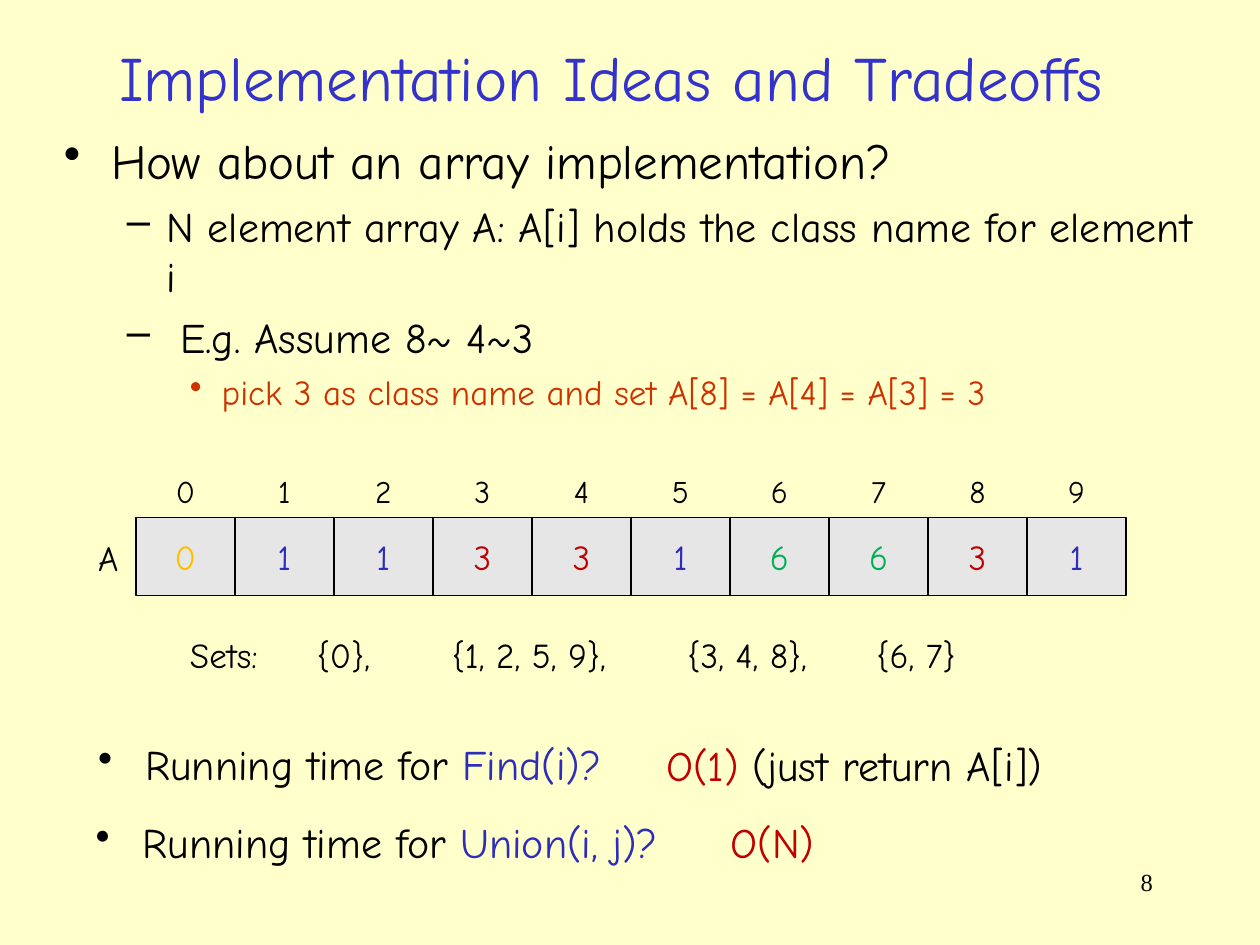
from lxml import etree
from pptx import Presentation
from pptx.dml.color import RGBColor as Rgb
from pptx.enum.shapes import MSO_SHAPE as Shape
from pptx.enum.text import MSO_ANCHOR as Anchor, MSO_AUTO_SIZE as AutoSize, PP_ALIGN as Align
from pptx.oxml.ns import qn
from pptx.util import Cm, Pt

FONT = "Comic Neue"
BLACK, BLUE, RED, ORANGE, GREEN = "000000", "2D2DB9", "C00000", "FFC000", "00B050"


def write(para, pieces, size, font=FONT):
    """Add (text, colour) pieces to a paragraph as formatted runs."""
    for text, colour in pieces:
        span = para.add_run()
        span.text = text
        span.font.name = font
        span.font.size = Pt(size)
        span.font.color.rgb = Rgb.from_string(colour)


def add_bullet(para, char, colour, margin, hanging):
    """Give a paragraph a bullet with a hanging indent in centimetres."""
    props = para._p.get_or_add_pPr()
    props.set("marL", str(Cm(margin)))
    props.set("indent", str(-Cm(hanging)))
    fill = etree.SubElement(props, qn("a:buClr"))
    etree.SubElement(fill, qn("a:srgbClr"), val=colour)
    etree.SubElement(props, qn("a:buChar"), char=char)


deck = Presentation()
deck.slide_width, deck.slide_height = Cm(25.4), Cm(19.05)
page = deck.slides.add_slide(deck.slide_layouts[5])
page.background.fill.solid()
page.background.fill.fore_color.rgb = Rgb.from_string("FFFFCC")

# Title
title = page.shapes.title
title.left, title.top, title.width, title.height = Cm(0.94), Cm(0.66), Cm(22.76), Cm(1.75)
title.text_frame.auto_size = AutoSize.NONE
title.text_frame.vertical_anchor = Anchor.MIDDLE
title.text_frame.paragraphs[0].alignment = Align.CENTER
write(title.text_frame.paragraphs[0], [("Implementation Ideas and Tradeoffs", "3333CC")], 36)

# Main bullets: text, size, colour, bullet, margin, hanging, space before
outline = [
    ("How about an array implementation?", 28, BLACK, "•", 0.95, 0.95, 0),
    ("N element array A: A[i] holds the class name for element i", 24, BLACK, "–", 2.06, 0.79, 6),
    (" E.g. Assume 8~ 4~3", 24, BLACK, "–", 2.06, 0.79, 6),
    ("pick 3 as class name and set A[8] = A[4] = A[3] = 3", 20, "CC3300", "•", 3.18, 0.64, 5),
]
body = page.shapes.add_textbox(Cm(1.04), Cm(2.51), Cm(23.5), Cm(6.91)).text_frame
body.word_wrap = True
for number, (text, size, colour, char, margin, hanging, space) in enumerate(outline):
    para = body.add_paragraph() if number else body.paragraphs[0]
    add_bullet(para, char, colour, margin, hanging)
    para.space_before = Pt(space)
    write(para, [(text, colour)], size)

# Array cells with their indices above
values = [0, 1, 1, 3, 3, 1, 6, 6, 3, 1]
class_colours = {0: ORANGE, 1: BLUE, 3: RED, 6: GREEN}
array_left, array_top = 2.74, 10.44
cell_width, cell_height = 19.96 / len(values), 1.57
for index, value in enumerate(values):
    left = Cm(array_left + index * cell_width)
    cell = page.shapes.add_shape(Shape.RECTANGLE, left, Cm(array_top), Cm(cell_width), Cm(cell_height))
    cell.shadow.inherit = False
    cell.fill.solid()
    cell.fill.fore_color.rgb = Rgb.from_string("E6E6E6")
    cell.line.color.rgb = Rgb.from_string(BLACK)
    cell.line.width = Pt(0.75)
    cell.text_frame.vertical_anchor = Anchor.MIDDLE
    label = page.shapes.add_textbox(left, Cm(9.4), Cm(cell_width), Cm(1.02))
    for box, number, size, colour in ((cell, value, 20, class_colours[value]), (label, index, 18, BLACK)):
        box.text_frame.word_wrap = True
        para = box.text_frame.paragraphs[0]
        para.alignment = Align.CENTER
        write(para, [(str(number), colour)], size)

# Single lines: left, top, width, height, size, bulleted, pieces
lines = [
    (1.73, 10.69, 0.91, 1.12, 20, False, [("A", BLACK)]),
    (1.73, 14.76, 11.3, 1.75, 24, True, [("Running time for ", BLACK), ("Find(i)?", BLUE)]),
    (13.18, 14.78, 9.58, 1.42, 24, False, [("O(1)", RED), (" (just return A[i])", BLACK)]),
    (1.68, 16.33, 13.11, 1.75, 24, True, [("Running time for", BLACK), (" Union(i, j)?", BLUE)]),
    (14.48, 16.33, 2.79, 1.42, 24, False, [("O(N)", RED)]),
]
for left, top, width, height, size, bulleted, pieces in lines:
    frame = page.shapes.add_textbox(Cm(left), Cm(top), Cm(width), Cm(height)).text_frame
    frame.word_wrap = bulleted
    if bulleted:
        add_bullet(frame.paragraphs[0], "•", BLACK, 0.95, 0.95)
    write(frame.paragraphs[0], pieces, size)

# Sets, spread along tab stops
sets = page.shapes.add_textbox(Cm(3.58), Cm(12.65), Cm(17.83), Cm(1.12)).text_frame
sets.word_wrap = True
para = sets.paragraphs[0]
tabs = etree.SubElement(para._p.get_or_add_pPr(), qn("a:tabLst"))
for stop in (2.56, 5.28, 10.03, 13.84):
    etree.SubElement(tabs, qn("a:tab"), pos=str(Cm(stop)), algn="l")
write(para, [("Sets:\t{0},\t{1, 2, 5, 9},\t{3, 4, 8},\t{6, 7}", BLACK)], 20)

# Page number
number_box = page.shapes.add_textbox(Cm(18.21), Cm(17.35), Cm(5.28), Cm(1.27)).text_frame
number_box.word_wrap = True
number_box.paragraphs[0].alignment = Align.RIGHT
write(number_box.paragraphs[0], [("8", BLACK)], 14, "Times New Roman")

deck.save("out.pptx")
